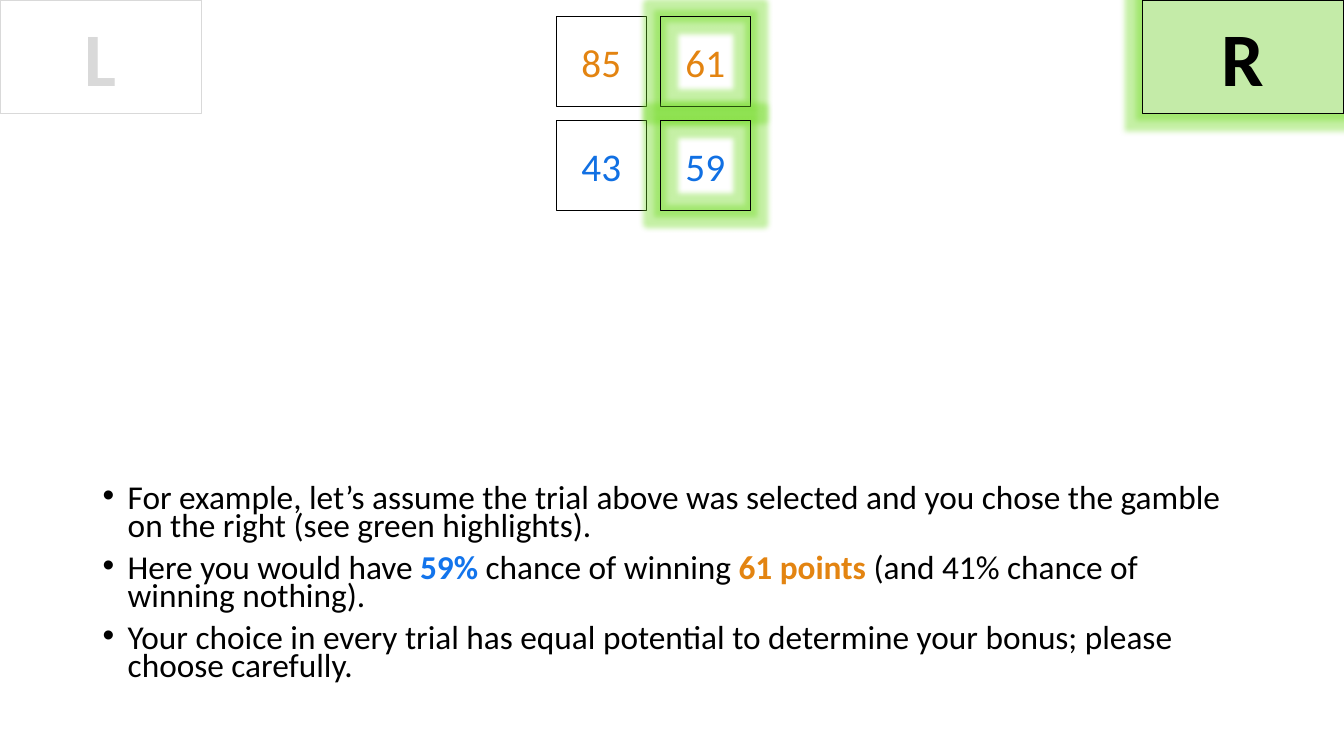
from lxml.etree import SubElement
from pptx import Presentation
from pptx.dml.color import RGBColor
from pptx.enum.shapes import MSO_SHAPE
from pptx.enum.text import MSO_ANCHOR, MSO_AUTO_SIZE, PP_ALIGN
from pptx.oxml.ns import qn
from pptx.util import Cm, Pt

FONT = "Calibri"
BLACK, WHITE, GREY = "000000", "FFFFFF", "D9D9D9"
ORANGE, BLUE, BRIGHT_BLUE = "E38411", "1170E3", "1274EC"
PALE_GREEN, GLOW_GREEN = "E2F0D9", "6FDB1F"
SLIDE_WIDTH, SLIDE_HEIGHT = 33.87, 19.05


def colour(value):
    return RGBColor.from_string(value)


def add_text(paragraph, text, size=23.8, color=BLACK, bold=False):
    run = paragraph.add_run()
    run.text = text
    run.font.name = FONT
    run.font.size = Pt(size)
    run.font.bold = bold
    run.font.color.rgb = colour(color)


def set_alpha(color_element, percent):
    SubElement(color_element, qn("a:alpha"), val=str(percent * 1000))


def add_glow(shape):
    effects = shape._element.spPr.find(qn("a:effectLst"))
    glow = SubElement(effects, qn("a:glow"), rad=str(Pt(8)))
    set_alpha(SubElement(glow, qn("a:srgbClr"), val=GLOW_GREEN), 40)


def add_card(slide, box, text, fill=None, opacity=100, line=BLACK, glow=False, **text_format):
    card = slide.shapes.add_shape(MSO_SHAPE.RECTANGLE, *map(Cm, box))
    card.shadow.inherit = False
    card.line.color.rgb = colour(line)
    card.line.width = Pt(1)
    if fill:
        card.fill.solid()
        card.fill.fore_color.rgb = colour(fill)
        if opacity < 100:
            set_alpha(card._element.spPr.find(qn("a:solidFill"))[0], opacity)
    else:
        card.fill.background()
    if glow:
        add_glow(card)
    card.text_frame.vertical_anchor = MSO_ANCHOR.MIDDLE
    paragraph = card.text_frame.paragraphs[0]
    paragraph.alignment = PP_ALIGN.CENTER
    add_text(paragraph, text, **text_format)


def add_explanation(slide, box):
    """Bulleted explanation of the bonus rule."""
    points = [
        [("For example, let’s assume the trial above was selected and you chose "
          "the gamble on the right (see green highlights).", {})],
        [("Here you would have ", {}),
         ("59% ", {"color": BRIGHT_BLUE, "bold": True}),
         ("chance of winning ", {}),
         ("61 points ", {"color": ORANGE, "bold": True}),
         ("(and 41% chance of winning nothing).", {})],
        [("Your choice in every trial has equal potential to determine your bonus; "
          "please choose carefully.", {})],
    ]
    body = slide.placeholders[1]
    body.left, body.top, body.width, body.height = map(Cm, box)
    frame = body.text_frame
    frame.word_wrap = True
    frame.auto_size = MSO_AUTO_SIZE.NONE
    frame.vertical_anchor = MSO_ANCHOR.TOP
    for index, point in enumerate(points):
        paragraph = frame.add_paragraph() if index else frame.paragraphs[0]
        properties = paragraph._p.get_or_add_pPr()
        properties.set("marL", str(Cm(0.635)))
        properties.set("indent", str(-Cm(0.635)))
        SubElement(properties, qn("a:buFont"), typeface="Arial")
        SubElement(properties, qn("a:buChar"), char="•")
        paragraph.line_spacing = 0.7
        paragraph.space_before = Pt(10 if index else 0)
        for text, text_format in point:
            add_text(paragraph, text, **text_format)


def add_choices(slide, box):
    """Left and right response keys in the corners of the box."""
    left, top, width, height = box
    key_width = 5.08
    add_card(slide, (left, top, key_width, height), "L", fill=WHITE, line=GREY,
             size=54, color=GREY, bold=True)
    add_card(slide, (left + width - key_width, top, key_width, height), "R",
             fill=PALE_GREEN, opacity=54, glow=True, size=54, bold=True)


def add_gambles(slide, box):
    """Points above chances, one gamble per column; the right one is chosen."""
    left, top, side, pitch = box
    rows = [(ORANGE, ("85", "61")), (BLUE, ("43", "59"))]
    for row, (color, values) in enumerate(rows):
        for column, value in enumerate(values):
            cell = (left + column * pitch, top + row * pitch, side, side)
            add_card(slide, cell, value, glow=column == 1, size=28, color=color)


def main():
    prs = Presentation()
    prs.slide_width, prs.slide_height = Cm(SLIDE_WIDTH), Cm(SLIDE_HEIGHT)
    slide = prs.slides.add_slide(prs.slide_layouts[1])
    title = slide.shapes.title._element
    title.getparent().remove(title)

    add_explanation(slide, (2.33, 12.14, 29.21, 5.41))
    add_choices(slide, (0, 0, SLIDE_WIDTH, 2.86))
    add_gambles(slide, (14.02, 0.42, 2.27, 2.62))
    prs.save("out.pptx")


if __name__ == "__main__":
    main()
